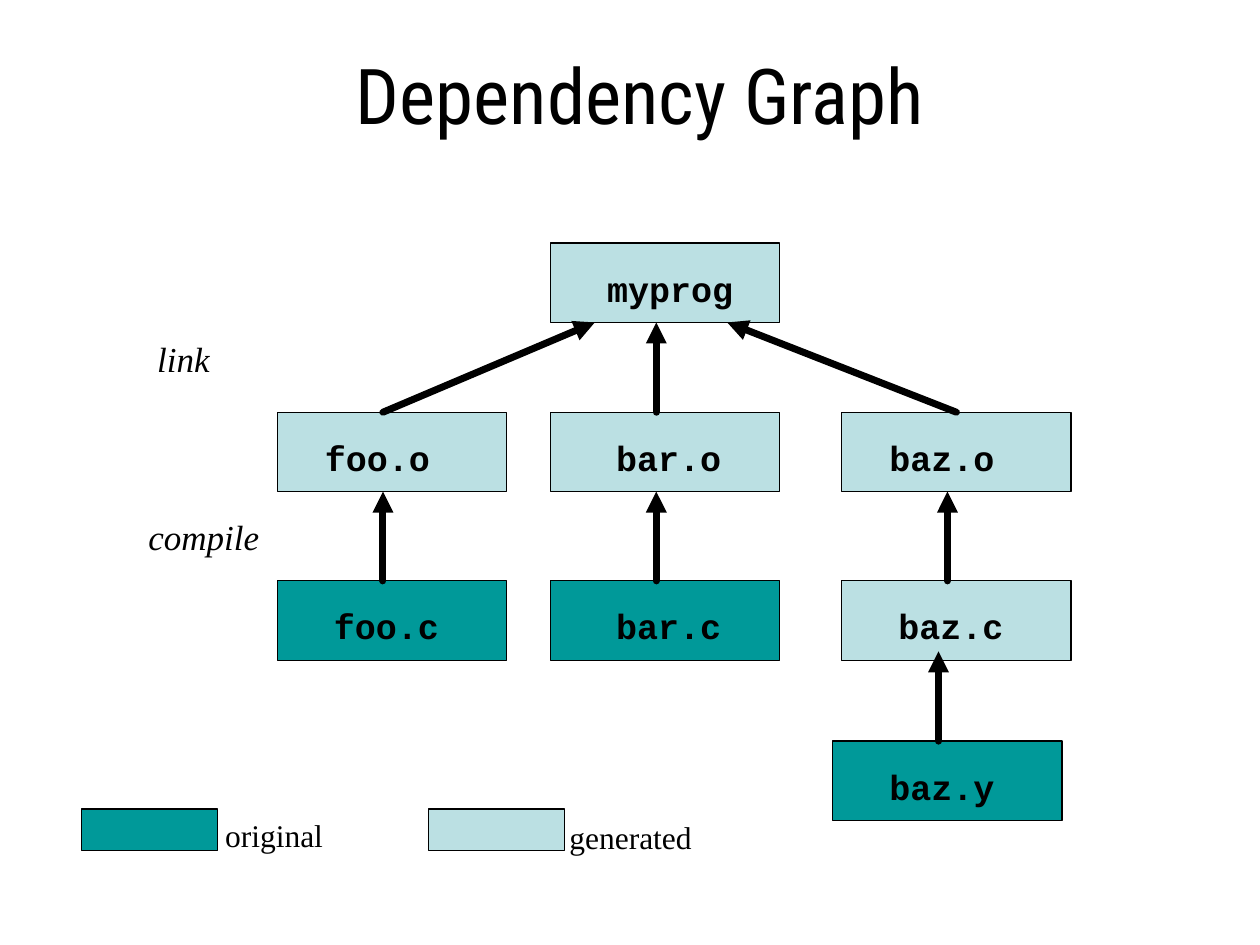
from lxml.etree import SubElement
from pptx import Presentation
from pptx.dml.color import RGBColor
from pptx.enum.shapes import MSO_CONNECTOR, MSO_SHAPE
from pptx.enum.text import MSO_ANCHOR, MSO_AUTO_SIZE, PP_ALIGN
from pptx.oxml.ns import qn
from pptx.util import Cm, Pt

COLORS = {"original": "009999", "generated": "BBE0E3", "ink": "000000"}
INK = RGBColor.from_string(COLORS["ink"])
BOX_W, BOX_H = 4.62, 1.6
LABEL_DY = 0.36

prs = Presentation()
prs.slide_width, prs.slide_height = Cm(25.4), Cm(19.05)
s = prs.slides.add_slide(prs.slide_layouts[5])


def add_box(x, y, w, h, kind):
    sp = s.shapes.add_shape(MSO_SHAPE.RECTANGLE, Cm(x), Cm(y), Cm(w), Cm(h))
    sp.shadow.inherit = False
    sp.fill.solid()
    sp.fill.fore_color.rgb = RGBColor.from_string(COLORS[kind])
    sp.line.color.rgb = INK
    sp.line.width = Pt(0.75)


def add_run(p, text, font, size, bold=False, italic=False):
    r = p.add_run()
    r.text = text
    r.font.name = font
    r.font.size = Pt(size)
    r.font.bold = bold
    r.font.italic = italic
    r.font.color.rgb = INK


title = s.shapes.title
title.left, title.top, title.width, title.height = Cm(2.11), Cm(0.84), Cm(21.59), Cm(3.18)
tf = title.text_frame
tf.auto_size = MSO_AUTO_SIZE.NONE
tf.vertical_anchor = MSO_ANCHOR.TOP
p = tf.paragraphs[0]
p.alignment = PP_ALIGN.CENTER
add_run(p, "Dependency Graph", "Roboto Condensed", 44)

prog_y, obj_y, src_y, yacc_y = 4.9, 8.31, 11.71, 14.94
foo_x, bar_x, baz_x, yacc_x = 5.59, 11.1, 16.97, 16.79

files = [
    ("myprog", bar_x, prog_y, 11.99, "generated"),
    ("foo.o", foo_x, obj_y, 6.3, "generated"),
    ("bar.o", bar_x, obj_y, 12.17, "generated"),
    ("baz.o", baz_x, obj_y, 17.68, "generated"),
    ("foo.c", foo_x, src_y, 6.48, "original"),
    ("bar.c", bar_x, src_y, 12.17, "original"),
    ("baz.c", baz_x, src_y, 17.86, "generated"),
    ("baz.y", yacc_x, yacc_y, 17.68, "original"),
]
for name, x, y, label_x, kind in files:
    add_box(x, y, BOX_W, BOX_H, kind)

legend = [("original", 1.65, 4.29, 16.33), ("generated", 8.64, 11.23, 16.36)]
for kind, x, label_x, label_y in legend:
    add_box(x, 16.31, 2.74, 0.84, kind)

foo_mid, bar_mid, baz_mid, yacc_mid = [x + 2.13 for x in (foo_x, bar_x, baz_x, yacc_x)]
arrows = [(x, src_y, x, obj_y + BOX_H) for x in (foo_mid, bar_mid, baz_mid)]
arrows += [
    (foo_mid, obj_y, 11.99, prog_y + BOX_H),
    (bar_mid, obj_y, bar_mid, prog_y + BOX_H),
    (19.28, obj_y, 14.66, prog_y + BOX_H),
    (yacc_mid, yacc_y, yacc_mid, 13.13),
]
for ends in arrows:
    c = s.shapes.add_connector(MSO_CONNECTOR.STRAIGHT, *[Cm(v) for v in ends])
    c.line.color.rgb = INK
    c.line.width = Pt(4)
    ln = c.line._get_or_add_ln()
    ln.set("cap", "rnd")
    SubElement(ln, qn("a:round"))
    SubElement(ln, qn("a:tailEnd"), type="triangle")
    SubElement(c._element.spPr, qn("a:effectLst"))

labels = [
    (name, x, y + LABEL_DY, 3.38 if name == "myprog" else 2.84, "Courier New", 20, True, False)
    for name, _, y, x, _ in files
]
labels += [
    (kind, x, y, 3.38, "Times New Roman", 18, False, False)
    for kind, _, x, y in legend
]
labels += [
    (step, x, y, 2.84, "Times New Roman", 20, False, True)
    for step, x, y in [("link", 2.92, 6.68), ("compile", 2.74, 10.26)]
]
for text, x, y, w, font, size, bold, italic in labels:
    tf = s.shapes.add_textbox(Cm(x), Cm(y), Cm(w), Cm(1.09 if size == 20 else 1.02)).text_frame
    tf.word_wrap = True
    add_run(tf.paragraphs[0], text, font, size, bold, italic)

prs.save("out.pptx")
